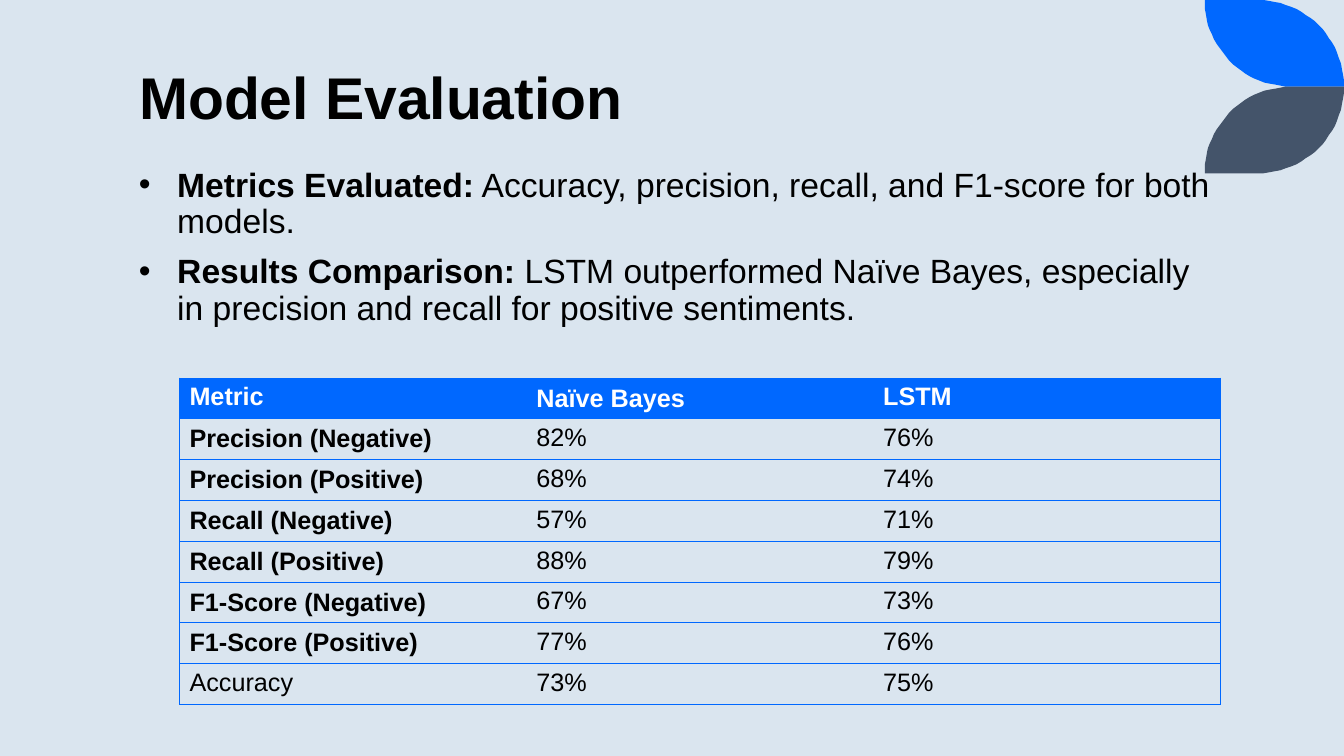
import pptx
import pptx.dml.color
import pptx.enum.text
import pptx.oxml
import pptx.util

PX = 9144
BLUE, SLATE, BLACK, WHITE = "0068FF", "44546A", "000000", "FFFFFF"
NS = 'xmlns:a="http://schemas.openxmlformats.org/drawingml/2006/main"'
ANCHOR = pptx.enum.text.MSO_ANCHOR
ITEMS = [
    ("Metrics Evaluated:", " Accuracy, precision, recall, and F1-score for both models."),
    ("Results Comparison:", " LSTM outperformed Naïve Bayes, especially in precision "
     "and recall for positive sentiments."),
]
ROWS = [
    ("Metric", "Naïve Bayes", "LSTM"),
    ("Precision (Negative)", "82%", "76%"),
    ("Precision (Positive)", "68%", "74%"),
    ("Recall (Negative)", "57%", "71%"),
    ("Recall (Positive)", "88%", "79%"),
    ("F1-Score (Negative)", "67%", "73%"),
    ("F1-Score (Positive)", "77%", "76%"),
    ("Accuracy", "73%", "75%"),
]


def emu(*box):
    """Turn px lengths into EMU."""
    return [n * PX for n in box]


def paint(fill, tint):
    """Give a fill one solid colour."""
    fill.solid()
    fill.fore_color.rgb = pptx.dml.color.RGBColor.from_string(tint)


def style(item, **look):
    """Set each format value on an object."""
    for name, value in look.items():
        setattr(item, name, value)


def write(para, text, size, tint=BLACK, bold=False):
    """Add one run of text to a paragraph."""
    run = para.add_run()
    run.text = text
    style(run.font, name="Arial", size=pptx.util.Pt(size), bold=bold)
    run.font.color.rgb = pptx.dml.color.RGBColor.from_string(tint)


def curve(a, b, c, d, steps=24):
    """List points along a cubic curve, without its start."""
    ts = [n / steps for n in range(1, steps + 1)]
    return [tuple((1 - t) ** 3 * p + 3 * t * (1 - t) ** 2 * q
                  + 3 * t * t * (1 - t) * r + t ** 3 * s
                  for p, q, r, s in zip(a, b, c, d)) for t in ts]


def leaves(slide, left, top, width, height):
    """Draw the leaf and its mirror below it."""
    bend = width - 52
    edge = [(52, 0)]
    edge += curve((52, 0), (100, 0), (width, 38), (width, height))
    edge += [(bend, height)]
    edge += curve((bend, height), (41, height), (5, 52), (0, 9))
    for tint, base, sign in ((BLUE, top, 1), (SLATE, top + 2 * height, -1)):
        pen = slide.shapes.build_freeform(left, base, scale=PX)
        pen.add_line_segments([(left + x, base + sign * y) for x, y in edge])
        leaf = pen.convert_to_shape()
        leaf.shadow.inherit = False
        paint(leaf.fill, tint)
        leaf.line.fill.background()


def heading(slide, *box):
    """Place and format the title."""
    title = slide.shapes.title
    title.left, title.top, title.width, title.height = emu(*box)
    style(title.text_frame, vertical_anchor=ANCHOR.BOTTOM, word_wrap=True,
          auto_size=pptx.enum.text.MSO_AUTO_SIZE.NONE)
    para = title.text_frame.paragraphs[0]
    style(para, alignment=pptx.enum.text.PP_ALIGN.LEFT, line_spacing=0.8)
    write(para, "Model Evaluation", 42, bold=True)


def bullets(slide, *box):
    """Write the bullet list."""
    frame = slide.shapes.add_textbox(*emu(*box)).text_frame
    frame.word_wrap = True
    for n, (lead, rest) in enumerate(ITEMS):
        para = frame.add_paragraph() if n else frame.paragraphs[0]
        style(para, line_spacing=0.9, space_before=pptx.util.Pt(10))
        props = para._p.get_or_add_pPr()
        props.set("marL", str(38 * PX))
        props.set("indent", str(-38 * PX))
        props.append(pptx.oxml.parse_xml(f'<a:buFont {NS} typeface="Arial"/>'))
        props.append(pptx.oxml.parse_xml(f'<a:buChar {NS} char="•"/>'))
        write(para, lead, 24, bold=True)
        write(para, rest, 24)


def border(cell, first, last):
    """Rule a cell above and below, and at the table's outer sides."""
    props = cell._tc.get_or_add_tcPr()
    for n, (side, on) in enumerate(zip("LRTB", (first, last, True, True))):
        ink = f'<a:solidFill><a:srgbClr val="{BLUE}"/></a:solidFill>' if on else "<a:noFill/>"
        props.insert(n, pptx.oxml.parse_xml(f'<a:ln{side} {NS} w="6350">{ink}</a:ln{side}>'))


def scores(slide, *box):
    """Build the table of scores."""
    table = slide.shapes.add_table(len(ROWS), len(ROWS[0]), *emu(*box)).table
    table.horz_banding = False
    for r, row in enumerate(ROWS):
        for c, text in enumerate(row):
            cell = table.cell(r, c)
            head, label = r == 0, c == 0 and 0 < r < len(ROWS) - 1
            if head:
                paint(cell.fill, BLUE)
            else:
                cell.fill.background()
            mid = label or (head and c == 1)
            cell.vertical_anchor = ANCHOR.MIDDLE if mid else ANCHOR.TOP
            write(cell.text_frame.paragraphs[0], text, 18,
                  WHITE if head else BLACK, head or label)
            border(cell, c == 0, c == len(row) - 1)


def main():
    """Build and save the slide."""
    deck = pptx.Presentation()
    deck.slide_width, deck.slide_height = emu(1333, 750)
    slide = deck.slides.add_slide(deck.slide_layouts[5])
    paint(slide.background.fill, "DAE5EF")
    leaves(slide, 1195, 0, 138, 86)
    heading(slide, 128, -15, 1060, 150)
    bullets(slide, 128, 162, 1083, 425)
    scores(slide, 178, 375, 1032, 324)
    deck.save("out.pptx")


if __name__ == "__main__":
    main()
